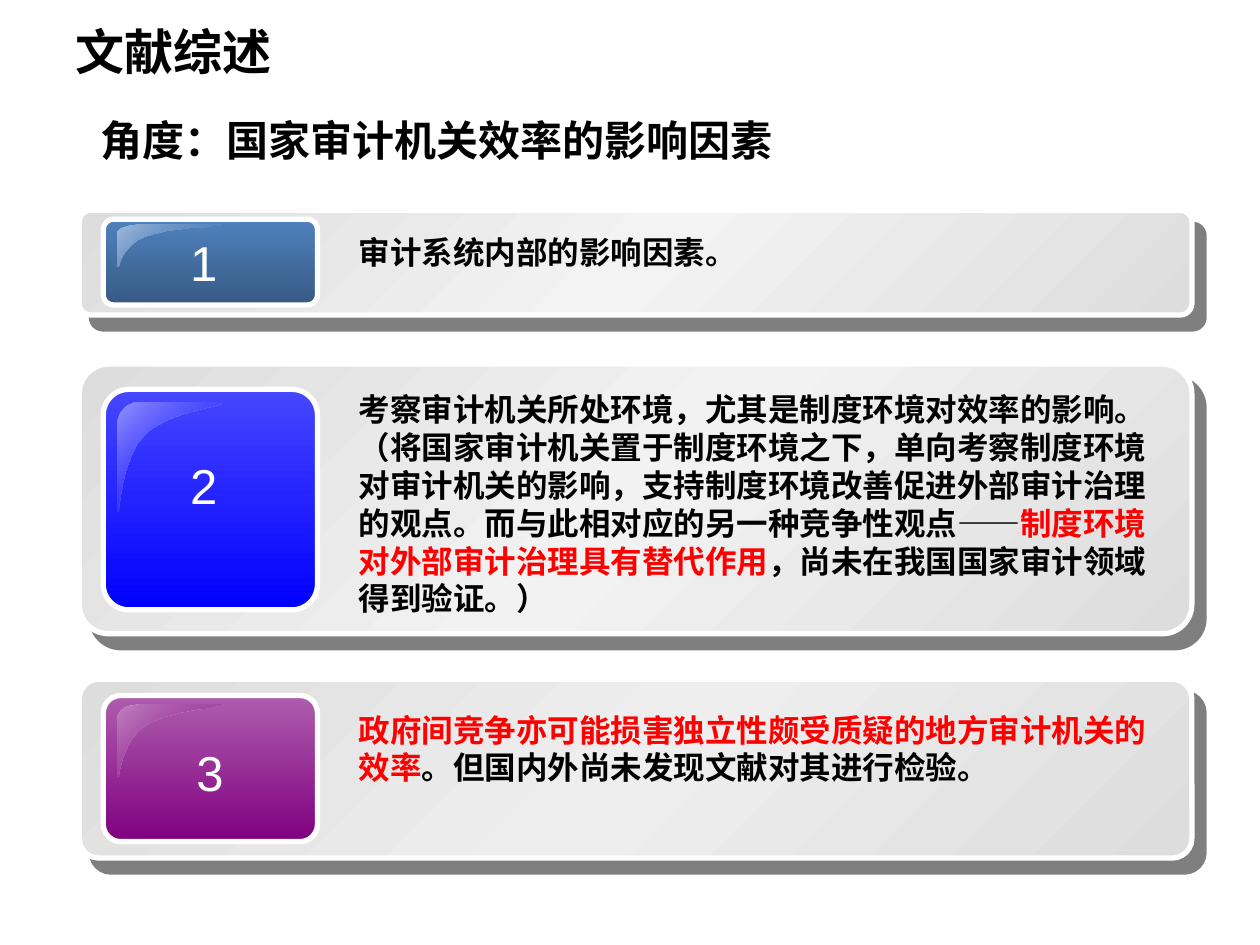
from pptx import Presentation
from pptx.dml.color import RGBColor
from pptx.enum.shapes import MSO_SHAPE
from pptx.enum.text import MSO_ANCHOR, MSO_AUTO_SIZE, PP_ALIGN
from pptx.oxml.ns import qn
from pptx.oxml.xmlchemy import OxmlElement
from pptx.util import Inches, Pt

ROUND, RECT = MSO_SHAPE.ROUNDED_RECTANGLE, MSO_SHAPE.RECTANGLE
LEFT, CENTER = PP_ALIGN.LEFT, PP_ALIGN.CENTER
BLACK, WHITE, RED = "000000", "FFFFFF", "FF0000"

# Content
TITLE = "文献综述"
TOPIC = "角度：国家审计机关效率的影响因素"
CARDS = [
    dict(top=1.67, high=0.83, tile=(1.74, 0.68), mid="F3F3F3",
         hues=("4F81BD", "375A84"), gloss=("9FBADB", "4F81BD"),
         num=(1.41, 1.8), text=(1.8, 0.4),
         runs=[("审计系统内部的影响因素。", BLACK)]),
    dict(top=2.89, high=2.14, tile=(3.09, 1.75), mid="F2F2F2",
         hues=("4646FF", "0000FF"), gloss=("9393FF", "0000FF"),
         num=(1.41, 3.57), text=(3.05, 1.9),
         runs=[("考察审计机关所处环境，尤其是制度环境对效率的影响。"
                "（将国家审计机关置于制度环境之下，单向考察制度环境"
                "对审计机关的影响，支持制度环境改善促进外部审计治理"
                "的观点。而与此相对应的另一种竞争性观点——", BLACK),
               ("制度环境对外部审计治理具有替代作用", RED),
               ("，尚未在我国国家审计领域得到验证。）", BLACK)]),
    dict(top=5.39, high=1.42, tile=(5.52, 1.16), mid="EEEEEE",
         hues=("AE5DAE", "800080"), gloss=("C183C1", "800080"),
         num=(1.46, 5.84), text=(5.59, 0.7),
         runs=[("政府间竞争亦可能损害独立性颇受质疑的地方审计机关的效率", RED),
               ("。但国内外尚未发现文献对其进行检验。", BLACK)]),
]

# Gloss outline: x in inches, y as a share of its height
START = (1.09, 0)
DOTS = [(1, 0), (0.93, 0.09), (0.93, 0.2),
        (0.93, 0.99),
        (0.96, 1), (0.94, 0.52), (1.16, 0.28),
        (1.37, 0.07), (1.77, 0.05), (1.76, 0)]
CURVES = (0, 4, 7)  # where each run of three dots is one curve


def color(code):
    return RGBColor.from_string(code)


def node(parent, tag, **attrs):
    child = OxmlElement(tag)
    for key, val in attrs.items():
        child.set(key, str(val))
    parent.append(child)
    return child


def tint(parent, code, alpha=100):
    hue = node(parent, "a:srgbClr", val=code)
    if alpha < 100:
        node(hue, "a:alpha", val=alpha * 1000)


def shade(shape, stops, angle):
    """Fill with a gradient of (percent, colour, alpha) stops."""
    shape.fill.gradient()
    shape.fill.gradient_angle = 360 - angle
    ramp = shape._element.spPr.find(qn("a:gradFill")).find(qn("a:gsLst"))
    for old in list(ramp):
        ramp.remove(old)
    for pos, code, alpha in stops:
        tint(node(ramp, "a:gs", pos=pos * 1000), code, alpha)


def panel(shapes, box, adj, stops, angle):
    shape = shapes.add_shape(ROUND, *map(Inches, box))
    shape.adjustments[0] = adj
    shade(shape, stops, angle)
    shape.line.color.rgb = color(WHITE)
    shape.line.width = Pt(3)
    shape.shadow.inherit = False
    return shape


def drop(shape):
    """Give the card its hard grey shadow."""
    effect = shape._element.spPr.find(qn("a:effectLst"))
    cast = node(effect, "a:outerShdw", blurRad=0, dist=Pt(10.6),
                dir=49 * 60000, algn="ctr", rotWithShape=0)
    tint(cast, BLACK, 50)


def shine(shapes, top, high, hues):
    first, *rest = [(Inches(x), Inches(top + y * high)) for x, y in [START, *DOTS]]
    draft = shapes.build_freeform(*first)
    draft.add_line_segments(rest, close=True)
    shape = draft.convert_to_shape()
    # Turn each run of three line ends into one curve
    lines = list(shape._element.spPr.iter(qn("a:lnTo")))
    for at in CURVES:
        curve = OxmlElement("a:cubicBezTo")
        lines[at].addprevious(curve)
        for line in lines[at:at + 3]:
            curve.append(line[0])
            line.getparent().remove(line)
    shade(shape, [(0, hues[0], 100), (100, hues[1], 0)], 45)
    shape.line.fill.background()
    shape.shadow.inherit = False


def write(frame, runs, size, font="Arial", bold=True, align=LEFT):
    para = frame.paragraphs[0]
    para.alignment = align
    for text, code in runs:
        run = para.add_run()
        run.text = text
        run.font.size = Pt(size)
        run.font.name = font
        run.font.bold = bold
        run.font.color.rgb = color(code)


def label(shapes, box, runs, size, wrap=True, **style):
    frame = shapes.add_textbox(*map(Inches, box)).text_frame
    frame.word_wrap = wrap
    frame.auto_size = MSO_AUTO_SIZE.SHAPE_TO_FIT_TEXT
    write(frame, runs, size, **style)


deck = Presentation()
deck.slide_width, deck.slide_height = Inches(10), Inches(7.5)
slide = deck.slides.add_slide(deck.slide_layouts[5])

# Translucent band behind the title
title = slide.shapes.title
band = slide.shapes.add_shape(RECT, 0, 0, Inches(10), Inches(0.7))
band.fill.solid()
band.fill.fore_color.rgb = color(WHITE)
node(next(band._element.spPr.iter(qn("a:srgbClr"))), "a:alpha", val=64000)
band.line.fill.background()
band.shadow.inherit = False
title._element.addprevious(band._element)

# Title
title.left, title.top, title.width, title.height = map(Inches, (0.5, 0.13, 9, 0.55))
title.text_frame.vertical_anchor = MSO_ANCHOR.MIDDLE
title.text_frame.auto_size = MSO_AUTO_SIZE.NONE
write(title.text_frame, [(TITLE, BLACK)], 28, font="Calibri")

# Numbered cards
for count, card in enumerate(CARDS, 1):
    shapes = slide.shapes.add_group_shape().shapes
    grey = [(0, "DDDDDD", 100), (50, card["mid"], 100), (100, "DDDDDD", 100)]
    drop(panel(shapes, (0.63, card["top"], 8.83, card["high"]), 0.109, grey, 45))
    top, high = card["tile"]
    first, last = card["hues"]
    panel(shapes, (0.82, top, 1.7, high), 0.119,
          [(0, first, 100), (100, last, 100)], 90)
    shine(shapes, top + 0.06 * high, high / 2, card["gloss"])
    label(shapes, (*card["num"], 0.41, 0.57), [(str(count), WHITE)], 28,
          wrap=False, bold=False, align=CENTER)
    top, high = card["text"]
    label(shapes, (2.75, top, 6.49, high), card["runs"], 18)

# Topic line
label(slide.shapes, (0.7, 0.86, 8.59, 0.9), [(TOPIC, BLACK)], 24)

deck.save("out.pptx")
